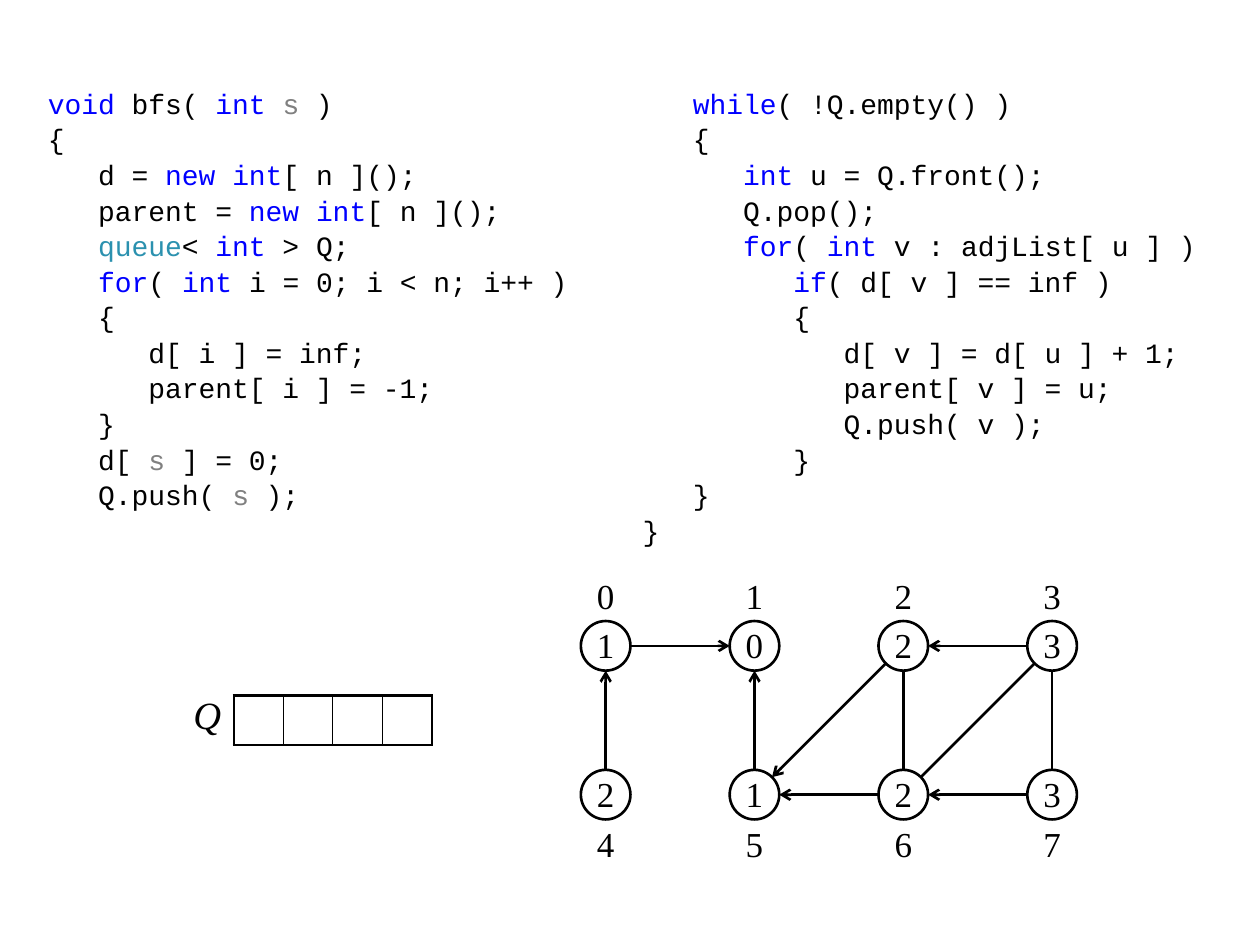
import itertools
import math

import lxml.etree
import pptx
import pptx.dml.color
import pptx.enum.shapes
import pptx.enum.text
import pptx.oxml.ns
import pptx.util

Cm, Inches, Pt = pptx.util.Cm, pptx.util.Inches, pptx.util.Pt
qn = pptx.oxml.ns.qn
MIDDLE = pptx.enum.text.MSO_ANCHOR.MIDDLE

COLORS = {"ink": "000000", "paper": "FFFFFF", "keyword": "0000FF",
          "type": "2B91AF", "parameter": "808080"}
WORD_COLORS = {"queue": "type", "s": "parameter",
               **dict.fromkeys(["void", "int", "new", "for", "while", "if"], "keyword")}
CODE_FONT, MATH_FONT = "Courier New", "Times New Roman"

# The drawing lies on a grid of 1 cm cells; graph nodes are 3 cells apart.
GRID_LEFT, GRID_TOP = 3.71, 11.52
GRAPH_COLUMN, STEP = 8, 3
LABEL_ROWS, NODE_ROWS = (0, 5), (1, 4)

SETUP_CODE = """\
void bfs( int s )
{
   d = new int[ n ]();
   parent = new int[ n ]();
   queue< int > Q;
   for( int i = 0; i < n; i++ )
   {
      d[ i ] = inf;
      parent[ i ] = -1;
   }
   d[ s ] = 0;
   Q.push( s );"""

LOOP_CODE = """\
   while( !Q.empty() )
   {
      int u = Q.front();
      Q.pop();
      for( int v : adjList[ u ] )
         if( d[ v ] == inf )
         {
            d[ v ] = d[ u ] + 1;
            parent[ v ] = u;
            Q.push( v );
         }
   }
}"""

DISTANCES = [1, 0, 2, 3, 2, 1, 2, 3]
PARENT_EDGES = [(0, 1), (4, 0), (5, 1), (6, 5), (2, 5), (3, 2), (7, 6)]
OTHER_EDGES = [(2, 6), (3, 6), (3, 7)]


def color(name):
    return pptx.dml.color.RGBColor.from_string(COLORS[name])


def grid_x(column):
    return Cm(GRID_LEFT + column)


def grid_y(row):
    return Cm(GRID_TOP + row)


def node_cell(node):
    row, column = divmod(node, 4)
    return GRAPH_COLUMN + STEP * column, NODE_ROWS[row]


def add_span(para, text, font, size, ink="ink"):
    span = para.add_run()
    span.text = text
    span.font.name = font
    span.font.size = Pt(size)
    span.font.color.rgb = color(ink)
    return span


def fill_code(box, code, left, width, height, wrap):
    """Set code line by line, colouring its keywords, types and parameter."""
    box.left, box.top = Inches(left), Inches(0.6)
    box.width, box.height = Inches(width), Inches(height)
    frame = box.text_frame
    frame.auto_size = pptx.enum.text.MSO_AUTO_SIZE.NONE
    frame.word_wrap = wrap
    frame.vertical_anchor = pptx.enum.text.MSO_ANCHOR.TOP
    frame.margin_top = Inches(0.07)
    for number, line in enumerate(code.split("\n")):
        para = frame.add_paragraph() if number else frame.paragraphs[0]
        properties = para._p.get_or_add_pPr()
        properties.set("marL", "0")
        properties.set("indent", "0")
        lxml.etree.SubElement(properties, qn("a:buNone"))
        para.space_before = Pt(0)
        para.line_spacing = 1.06
        words = ["".join(group) for _, group in itertools.groupby(line, str.isalnum)]
        for ink, group in itertools.groupby(words, lambda word: WORD_COLORS.get(word, "ink")):
            add_span(para, "".join(group), CODE_FONT, 16, ink)


def set_number(box, number, top, bottom):
    frame = box.text_frame
    frame.word_wrap = False
    frame.vertical_anchor = MIDDLE
    frame.margin_top, frame.margin_bottom = Inches(top), Inches(bottom)
    para = frame.paragraphs[0]
    para.alignment = pptx.enum.text.PP_ALIGN.CENTER
    add_span(para, str(number), MATH_FONT, 20)


def add_node(page, node):
    column, row = node_cell(node)
    label_row = LABEL_ROWS[NODE_ROWS.index(row)]
    label = page.shapes.add_textbox(grid_x(column), grid_y(label_row), Cm(1), Cm(1))
    set_number(label, node, 0.04, 0.06)
    circle = page.shapes.add_shape(pptx.enum.shapes.MSO_SHAPE.OVAL,
                                   grid_x(column), grid_y(row), Cm(1), Cm(1))
    circle.shadow.inherit = False
    circle.fill.solid()
    circle.fill.fore_color.rgb = color("paper")
    circle.line.color.rgb = color("ink")
    circle.line.width = Pt(1.5)
    set_number(circle, DISTANCES[node], 0, 0.02)


def add_edge(page, start, end, arrow):
    """Join the rims of two nodes, half a cell away from their centres."""
    (x1, y1), (x2, y2) = node_cell(start), node_cell(end)
    angle = math.atan2(y2 - y1, x2 - x1)
    dx, dy = math.cos(angle) / 2, math.sin(angle) / 2
    edge = page.shapes.add_connector(
        pptx.enum.shapes.MSO_CONNECTOR.STRAIGHT,
        grid_x(x1 + 0.5 + dx), grid_y(y1 + 0.5 + dy),
        grid_x(x2 + 0.5 - dx), grid_y(y2 + 0.5 - dy))
    edge.line.color.rgb = color("ink")
    edge.line.width = Pt(1.5)
    if arrow:
        lxml.etree.SubElement(edge.line._get_or_add_ln(), qn("a:tailEnd"), type="arrow")
    lxml.etree.SubElement(edge._element.spPr, qn("a:effectLst"))


def set_borders(cell, widths):
    """Draw the left, right, top and bottom borders; a width of 0 hides one."""
    properties = cell._tc.get_or_add_tcPr()
    for position, (side, width) in enumerate(zip("LRTB", widths)):
        border = lxml.etree.Element(qn(f"a:ln{side}"), w=str(Pt(width)))
        if width:
            fill = lxml.etree.SubElement(border, qn("a:solidFill"))
            lxml.etree.SubElement(fill, qn("a:srgbClr"), val=COLORS["ink"])
        else:
            lxml.etree.SubElement(border, qn("a:noFill"))
        properties.insert(position, border)


def add_queue(page, slots):
    frame = page.shapes.add_table(1, slots + 1, grid_x(0), grid_y(2.5), Cm(slots + 1), Cm(1))
    table = frame.table
    table.first_row = table.horz_banding = False
    for number, cell in enumerate(table.iter_cells()):
        cell.fill.background()
        cell.margin_top = cell.margin_bottom = 0
        left = 1.5 if number == 1 else 0.75
        right = 1.5 if number == slots else 0.75
        set_borders(cell, (left, right, 1.5, 1.5) if number else (0, 1.5, 0, 0))
    name = table.cell(0, 0)
    name.margin_left = Inches(0.04)
    para = name.text_frame.paragraphs[0]
    para.alignment = pptx.enum.text.PP_ALIGN.RIGHT
    add_span(para, "Q", MATH_FONT, 22).font.italic = True


def main():
    deck = pptx.Presentation()
    deck.slide_width, deck.slide_height = Inches(10), Inches(7.5)
    page = deck.slides.add_slide(deck.slide_layouts.get_by_name("Two Content"))
    title = page.shapes.title._element
    title.getparent().remove(title)
    fill_code(page.placeholders[1], SETUP_CODE, 0.28, 4.33, 3.35, False)
    fill_code(page.placeholders[2], LOOP_CODE, 5, 4.72, 3.54, True)
    for node in range(len(DISTANCES)):
        add_node(page, node)
    for edges, arrow in ((PARENT_EDGES, True), (OTHER_EDGES, False)):
        for start, end in edges:
            add_edge(page, start, end, arrow)
    add_queue(page, 4)
    deck.save("out.pptx")


if __name__ == "__main__":
    main()
